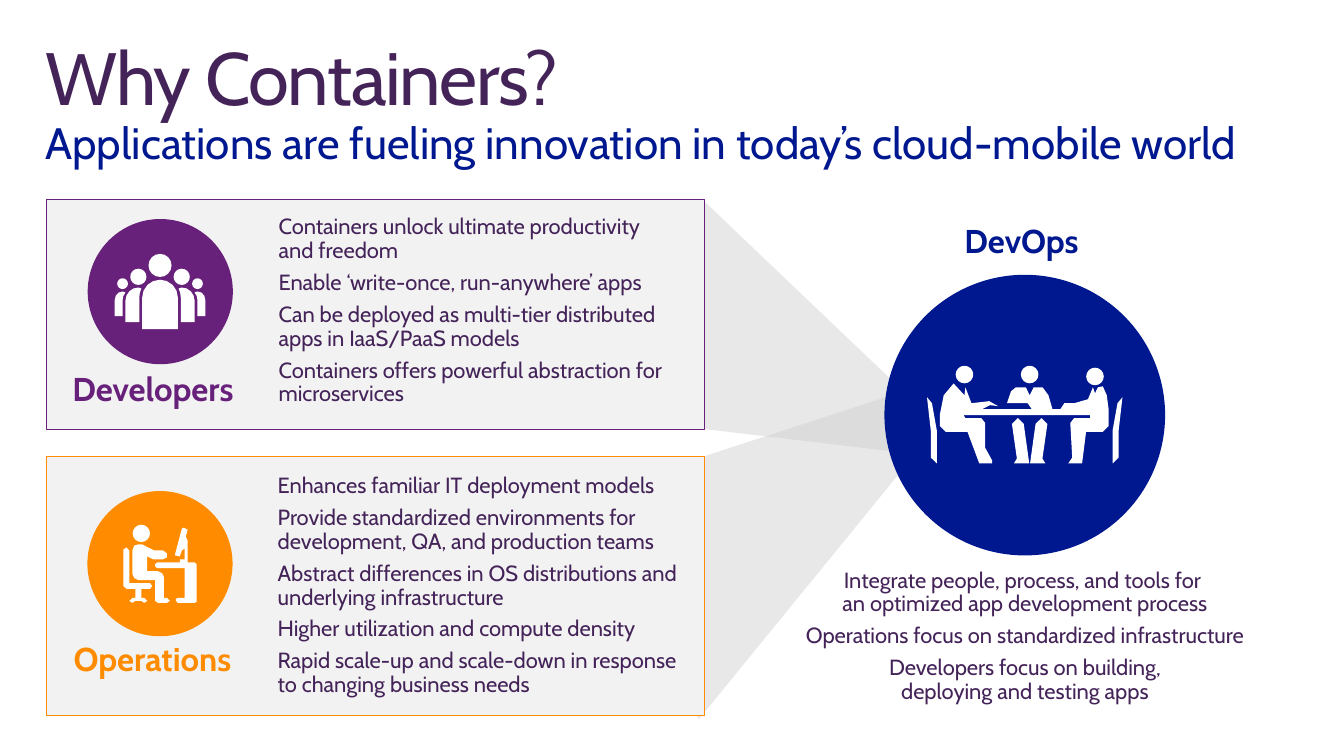
import math

from lxml import etree
from pptx import Presentation
from pptx.dml.color import RGBColor
from pptx.enum import shapes, text
from pptx.oxml import ns
from pptx.util import Pt

PURPLE = RGBColor(0x68, 0x21, 0x7A)
ORANGE = RGBColor(0xFF, 0x8C, 0x00)
NAVY = RGBColor(0x00, 0x18, 0x8F)
PLUM = RGBColor(0x44, 0x23, 0x59)
PALE = RGBColor(0xF2, 0xF2, 0xF2)
GREY = RGBColor(0xD2, 0xD2, 0xD2)
WHITE = RGBColor(0xFF, 0xFF, 0xFF)

RECT = shapes.MSO_SHAPE.RECTANGLE
OVAL = shapes.MSO_SHAPE.OVAL
LEFT, CENTER = text.PP_ALIGN.LEFT, text.PP_ALIGN.CENTER

deck = Presentation()
deck.slide_width, deck.slide_height = Pt(979.2), Pt(550.8)
page = deck.slides.add_slide(deck.slide_layouts.get_by_name("Two Content"))
title, *lists = page.placeholders


def draw(outline, fill, frame=None, line=None):
    """Draw a preset shape in a frame, or one shape from a list of polygons."""
    if frame:
        shape = page.shapes.add_shape(outline, *map(Pt, frame))
    else:
        polygons = [[(Pt(x), Pt(y)) for x, y in polygon] for polygon in outline]
        builder = page.shapes.build_freeform(*polygons[0][0])
        builder.add_line_segments(polygons[0][1:])
        for polygon in polygons[1:]:
            builder.move_to(*polygon[0])
            builder.add_line_segments(polygon[1:])
        shape = builder.convert_to_shape()
    shape.shadow.inherit = False
    shape.fill.solid()
    shape.fill.fore_color.rgb = fill
    if line is None:
        shape.line.fill.background()
    else:
        shape.line.color.rgb = line
        shape.line.width = Pt(0.75)
    return shape


def write(box, lines, color, size=16, bold=False, align=LEFT, wrap=True):
    """Fill a text box or placeholder with plain, unbulleted paragraphs, on top."""
    frame = box.text_frame
    layout = {"word_wrap": wrap, "auto_size": text.MSO_AUTO_SIZE.NONE,
              "vertical_anchor": text.MSO_ANCHOR.TOP,
              "margin_left": Pt(14.4), "margin_right": Pt(14.4),
              "margin_top": Pt(11.5), "margin_bottom": Pt(11.5)}
    spacing = {"alignment": align, "line_spacing": 0.9,
               "space_before": Pt(0), "space_after": Pt(6)}
    font = {"name": "Cabin", "size": Pt(size), "bold": bold}
    for name, value in layout.items():
        setattr(frame, name, value)
    frame.text = "\n".join(lines)
    for para in frame.paragraphs:
        for name, value in spacing.items():
            setattr(para, name, value)
        props = para._p.get_or_add_pPr()
        props.set("marL", "0")
        props.set("indent", "0")
        etree.SubElement(props, ns.qn("a:buNone"))
        for span in para.runs:
            for name, value in font.items():
                setattr(span.font, name, value)
            span.font.color.rgb = color
    page.shapes._spTree.append(box._element)


# Icon outlines: heads are (center x, center y, radius)
turn = [(math.cos(math.pi * step / 8), math.sin(math.pi * step / 8)) for step in range(16)]

crowd_heads = [(116.6, 193.4, 8.4), (100.8, 201.7, 5.9), (132.4, 201.7, 5.9),
               (89.3, 206.7, 3.9), (143.9, 206.7, 3.9)]
front = [(116.6 - 13 * x, 216.8 - 13 * y) for x, y in turn[:9]] + [(129.6, 239.8), (103.6, 239.8)]
second = [(101.5, 216.7), (101.5, 234.7), (91.4, 234.7), (91.4, 218.9), (92.2, 215.3),
          (94.2, 212.3), (97.2, 210.2), (100.8, 209.5), (103, 210.2), (101.9, 213.3)]
third = [(89.3, 218.9), (89.3, 230.4), (83.5, 230.4), (83.5, 218.9), (84.4, 215.4),
         (86.4, 213.2), (89.3, 212.4), (91.4, 213.1), (89.8, 215.8)]
crowd = [front, second, third] + [[(233.2 - x, y) for x, y in body] for body in (second, third)]

desk = [(133.9, 384.5), (136.8, 385.9), (135.4, 391), (136.8, 393.8), (136.8, 409.7),
        (141.8, 409.7), (143.3, 411.1), (143.3, 438.5), (141.8, 439.2), (129.6, 439.2),
        (128.2, 437.8), (128.2, 436.3), (129.6, 435.6), (134.6, 435.6), (134.6, 414),
        (114.5, 414), (113, 412.6), (113, 411.1), (114.5, 409.7), (131, 409.7),
        (131, 407.5), (134.6, 407.5), (134.6, 399.6), (132.5, 401), (131, 405.4),
        (127.4, 404.6), (132.5, 385.2)]
office_chair = [(90, 400.3), (92.2, 398.9), (94.3, 401), (94.3, 424.8), (109.4, 424.8),
                (110.9, 427), (109.4, 429.1), (103, 429.1), (103, 435.6), (105.1, 435.6),
                (107.3, 437.8), (105.1, 439.2), (103, 437.8), (98.6, 437.8), (96.5, 439.2),
                (94.3, 437.8), (96.5, 435.6), (98.6, 435.6), (98.6, 429.1), (92.2, 429.1),
                (90, 427)]
operator = [(100.8, 396.7), (103.7, 396.7), (106.6, 398.2), (112.3, 401), (118.8, 401),
            (121.7, 403.2), (121.7, 406.1), (118.8, 407.5), (111.6, 407.5), (107.3, 405.4),
            (107.3, 416.2), (115.2, 416.2), (118.1, 417.6), (119.5, 420.5), (119.5, 435.6),
            (121.7, 435.6), (123.8, 437.8), (121.7, 439.2), (115.2, 439.2), (113, 437.8),
            (113, 422.6), (100.8, 422.6), (97.9, 421.2), (96.5, 418.3), (96.5, 401),
            (97.9, 397.4)]

left_person = [(694.8, 279.4), (702.7, 288), (703.4, 282.2), (707.8, 293.8), (720.7, 292.3),
               (727.2, 295.9), (721.4, 295.2), (715.7, 298.1), (702, 298.1), (702, 302.4),
               (703.4, 304.6), (715, 304.6), (717.8, 308.2), (717.8, 326.2), (722.9, 335.5),
               (722.9, 337.7), (713.5, 337.7), (704.9, 314.6), (689, 314.6), (684.7, 310.3),
               (684.7, 302.4), (687.6, 288)]
right_person = [(803.5, 281.5), (799.9, 282.2), (797.8, 286.6), (796.3, 282.2), (792.7, 290.9),
                (782.6, 293.8), (775.4, 293.8), (772.6, 298.1), (794.2, 298.1), (794.2, 304.6),
                (782.6, 304.6), (779.8, 308.2), (781.2, 333.4), (778.3, 337.7), (788.4, 337.7),
                (791.3, 314.6), (803.5, 314.6), (807.8, 310.3), (807.8, 298.8), (806.4, 288)]
middle_person = [(740.2, 282.2), (747.4, 282.2), (750.2, 288), (753.1, 282.2), (759.6, 282.2),
                 (763.9, 288), (766.8, 298.1), (751.7, 298.1), (748.8, 293.8), (733.7, 293.8),
                 (736.6, 285.1)]
table_top = [(702, 298.1), (794.2, 298.1), (794.2, 302.4), (702, 302.4)]
leg = [(737.3, 308.9), (741.6, 304.6), (745.9, 308.9), (749.9, 337.7), (738.7, 337.7),
       (740.9, 334.1)]
side_chair = [(675.4, 289.4), (679, 293.8), (682.6, 313.9), (682.6, 337.7), (678.2, 333.4),
              (678.2, 313.9)]
meeting = [left_person, right_person, middle_person, table_top, leg, side_chair]
for half, axis in ((leg, 750.2), (side_chair, 746.6)):
    meeting.append([(2 * axis - x, y) for x, y in half])

icons = [(crowd_heads, crowd),
         ([(103, 388.6, 6.3)], [desk, office_chair, operator]),
         ([(702.7, 272.9, 6.4), (750.2, 272.9, 6.4), (797.8, 274.3, 6.4)], meeting)]
for heads, outlines in icons:
    for x, y, radius in heads:
        outlines.append([(x + radius * across, y + radius * down) for across, down in turn])
crowd_icon, desk_icon, meeting_icon = [outlines for heads, outlines in icons]

# Beams from the two panels to DevOps
beams = [
    [(669.6, 281.5), (430.6, 359.3), (509, 524.2), (693.4, 298.1)],
    [(669.6, 331.2), (469.4, 307.4), (512.6, 146.2), (686.2, 311.8)],
]
for beam in beams:
    shape = draw([beam], GREY)
    tint = shape._element.spPr.find(".//" + ns.qn("a:srgbClr"))
    etree.SubElement(tint, ns.qn("a:alpha"), val="50000")

title.left, title.top, title.width, title.height = map(Pt, (21.6, 23, 936, 72))
write(title, ["Why Containers?\vApplications are fueling innovation in today’s cloud-mobile world"],
      NAVY, 32)
title.text_frame.margin_left = title.text_frame.margin_right = Pt(11.5)
title.text_frame.margin_top = title.text_frame.margin_bottom = Pt(7.2)
heading = title.text_frame.paragraphs[0].runs[0]
heading.font.size = Pt(54)
heading.font.color.rgb = PLUM
heading.font._element.set("spc", "-100")

# Panels: label, its frame, color, top, height, disc corner, icon, list frame, list items
panels = [
    ("Developers", (38.3, 259.9, 156.2, 49.7), PURPLE, 145.7, 167, (63.9, 159.6), crowd_icon,
     (188.6, 145.8, 313.2, 163.4), [
        "Containers unlock ultimate productivity and freedom",
        "Enable ‘write-once, run-anywhere’ apps",
        "Can be deployed as multi-tier distributed apps in IaaS/PaaS models",
        "Containers offers powerful abstraction for microservices"]),
    ("Operations", (39.2, 457.2, 154.8, 49.7), ORANGE, 332.6, 188.6, (63.7, 357.8), desk_icon,
     (187.9, 334.4, 324.7, 187.2), [
        "Enhances familiar IT deployment models",
        "Provide standardized environments for development, QA, and production teams",
        "Abstract differences in OS distributions and underlying infrastructure",
        "Higher utilization and compute density",
        "Rapid scale-up and scale-down in response to changing business needs"]),
]
for box, panel in zip(lists, panels):
    label, label_frame, color, top, height, corner, icon, list_frame, items = panel
    draw(RECT, PALE, (33.8, top, 479.5, height), color)
    draw(OVAL, color, (*corner, 105.8, 105.8))
    draw(icon, WHITE)
    write(page.shapes.add_textbox(*map(Pt, label_frame)), [label], color, 24, True, wrap=False)
    box.left, box.top, box.width, box.height = map(Pt, list_frame)
    write(box, items, PLUM)

draw(OVAL, NAVY, (644.4, 200.2, 204.5, 204.5))
devops = page.shapes.add_textbox(*map(Pt, (688.3, 152.3, 117.4, 49.7)))
write(devops, ["DevOps"], NAVY, 24, True, wrap=False)
summary = page.shapes.add_textbox(*map(Pt, (557.8, 403.2, 378, 122.4)))
write(summary, ["Integrate people, process, and tools for \van optimized app development process",
                "Operations focus on standardized infrastructure",
                "Developers focus on building,\vdeploying and testing apps"],
      PLUM, align=CENTER)
draw(meeting_icon, WHITE)

deck.save("out.pptx")
